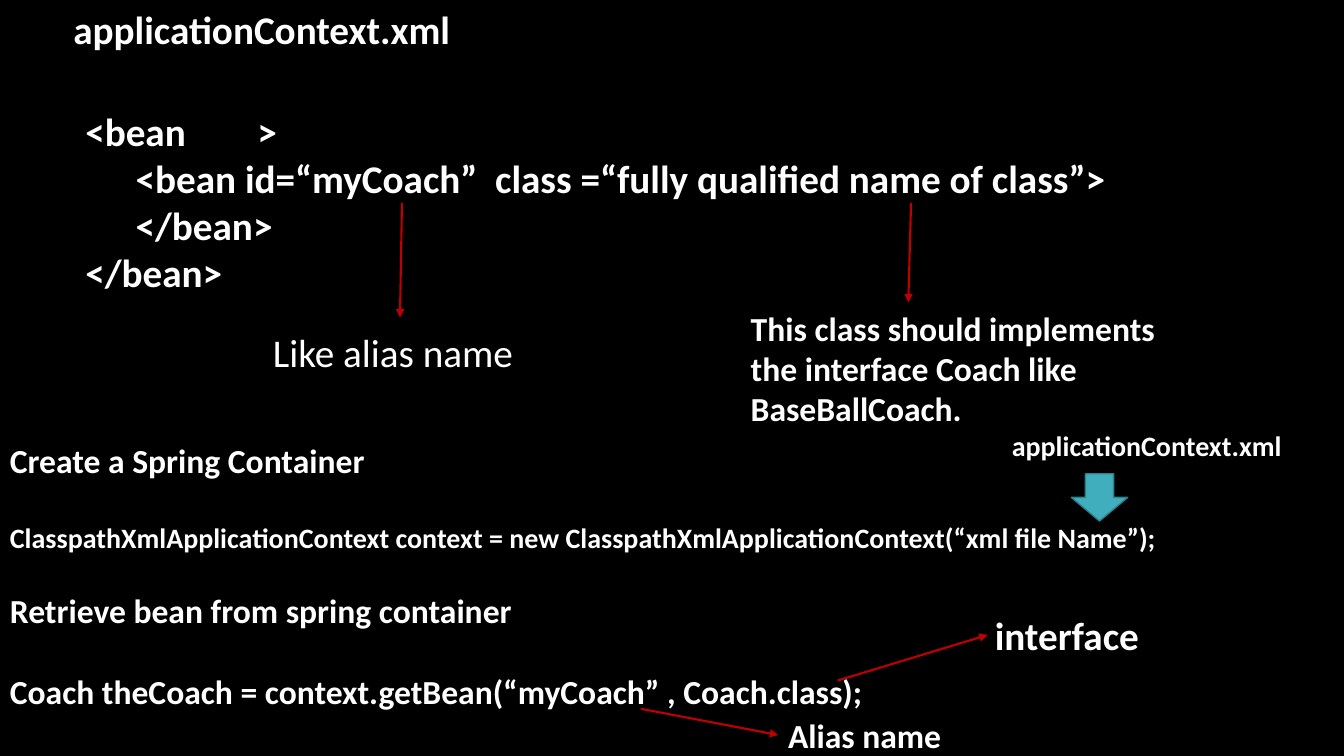
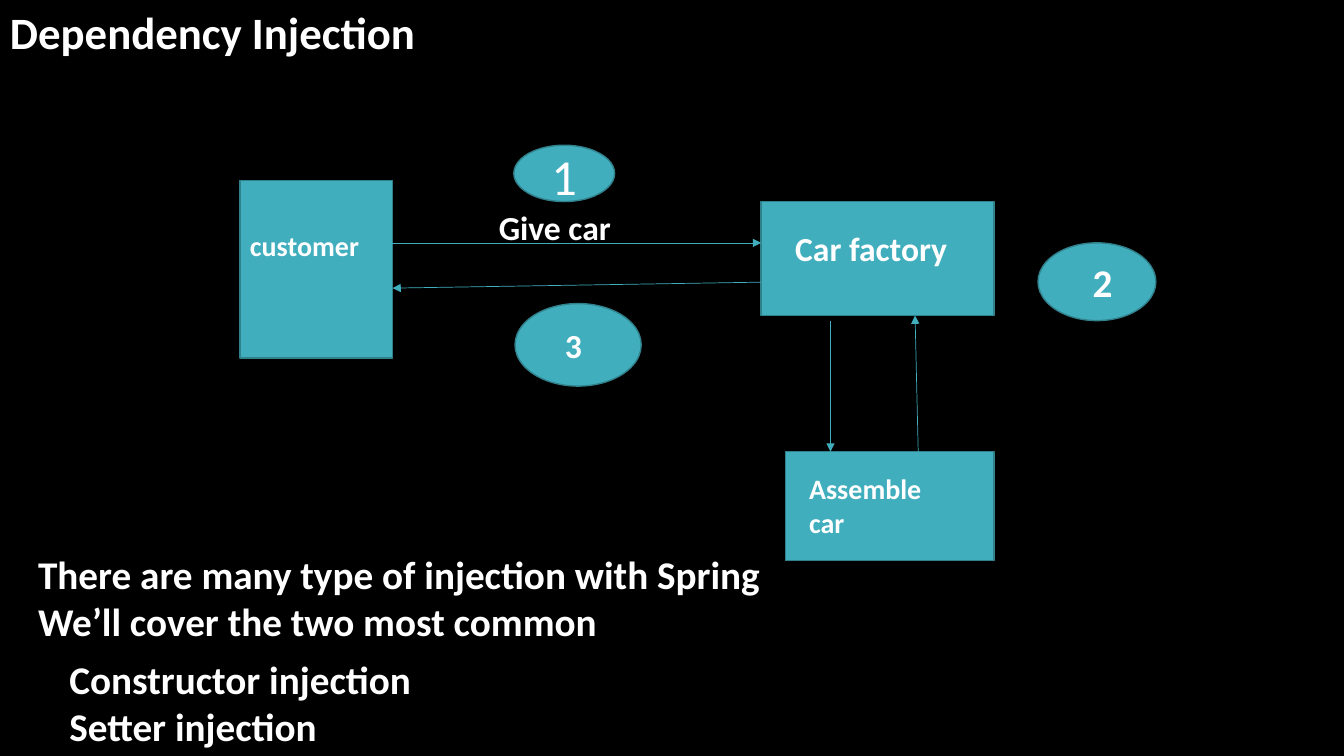
from lxml import etree
from pptx import Presentation
from pptx import util as u
from pptx.dml import color
from pptx.enum import shapes, text
from pptx.oxml import ns

LEFT = text.PP_ALIGN.LEFT
CENTER = text.PP_ALIGN.CENTER
TOP = text.MSO_ANCHOR.TOP
MIDDLE = text.MSO_ANCHOR.MIDDLE
RECT = shapes.MSO_SHAPE.RECTANGLE
OVAL = shapes.MSO_SHAPE.OVAL


def paint(target, value):
    if hasattr(target, "solid"):
        target.solid()
        target = target.fore_color
    target.rgb = color.RGBColor.from_string(value)


def assign(target, values):
    for name, value in values.items():
        setattr(target, name, value)


class Deck:
    BLACK, WHITE = "000000", "FFFFFF"
    TEAL, DARK_TEAL, RED = "41AEBD", "30818C", "C00000"
    FONT = "Calibri"
    INSET = (0.25, 0.13, 0.25, 0.13)

    def __init__(self):
        self.prs = Presentation()
        assign(self.prs, {"slide_width": u.Cm(33.87), "slide_height": u.Cm(19.05)})
        paint(self.prs.slide_master.background.fill, self.BLACK)
        self.slide = None

    def add_slide(self, title, box, size):
        self.slide = self.prs.slides.add_slide(self.prs.slide_layouts[5])
        heading = self.slide.shapes.title
        sides = ("left", "top", "width", "height")
        assign(heading, dict(zip(sides, map(u.Cm, box))))
        self.fill_frame(heading.text_frame, [title], size)

    def fill_frame(self, frame, lines, size, bold=True, align=LEFT, anchor=TOP,
                   inset=INSET):
        sides = ("margin_left", "margin_top", "margin_right", "margin_bottom")
        assign(frame, dict(zip(sides, map(u.Cm, inset))))
        assign(frame, {"auto_size": text.MSO_AUTO_SIZE.NONE, "word_wrap": True,
                       "vertical_anchor": anchor})
        for index, line in enumerate(lines):
            paragraph = frame.paragraphs[0] if index == 0 else frame.add_paragraph()
            paragraph.alignment = align
            run = paragraph.add_run()
            run.text = line
            assign(run.font, {"name": self.FONT, "size": u.Pt(size), "bold": bold})
            paint(run.font.color, self.WHITE)
        return frame.paragraphs

    def add_text(self, lines, box, size, bold=True):
        frame = self.slide.shapes.add_textbox(*map(u.Cm, box)).text_frame
        return self.fill_frame(frame, lines, size, bold)

    def add_shape(self, kind, box, label=None, size=20, **style):
        shape = self.slide.shapes.add_shape(kind, *map(u.Cm, box))
        shape.shadow.inherit = False
        paint(shape.fill, self.TEAL)
        paint(shape.line.fill, self.DARK_TEAL)
        shape.line.width = u.Pt(1)
        if label:
            self.fill_frame(shape.text_frame, [label], size, **style)

    def add_arrow(self, ends, hue, width):
        arrow = self.slide.shapes.add_connector(
            shapes.MSO_CONNECTOR.STRAIGHT, *map(u.Cm, ends))
        paint(arrow.line.fill, hue)
        arrow.line.width = u.Pt(width)
        properties = arrow.element.spPr
        tail = etree.SubElement(properties.find(ns.qn("a:ln")), ns.qn("a:tailEnd"))
        tail.set("type", "triangle")
        etree.SubElement(properties, ns.qn("a:effectLst"))

    def indent(self, paragraph, distance):
        paragraph._p.get_or_add_pPr().set("marL", str(u.Cm(distance)))

    def add_tab(self, paragraph, distance):
        stops = etree.SubElement(paragraph._p.get_or_add_pPr(), ns.qn("a:tabLst"))
        stop = etree.SubElement(stops, ns.qn("a:tab"))
        for name, value in {"pos": str(u.Cm(distance)), "algn": "l"}.items():
            stop.set(name, value)


def build_context(deck):
    deck.add_slide("applicationContext.xml", (1.6, 0, 11.46, 1.45), 28)
    beans = deck.add_text(
        ["<bean\t>",
         "<bean id=“myCoach”  class =“fully qualified name of class”>",
         "</bean>",
         "</bean>"],
        (1.9, 2.57, 28.52, 5.05), 28)
    deck.add_tab(beans[0], 4.34)
    for inner in beans[1:3]:
        deck.indent(inner, 1.27)

    deck.add_text(["Like alias name"], (6.63, 8.15, 9.53, 1.45), 28, bold=False)
    deck.add_text(["This class should implements the interface Coach like BaseBallCoach."],
                  (18.67, 7.62, 12.01, 3.33), 24)

    container = deck.add_text(
        ["Create a Spring Container",
         "ClasspathXmlApplicationContext context = new "
         "ClasspathXmlApplicationContext(“xml file Name”);"],
        (0, 10.95, 33.87, 3.18), 24)
    container[1].runs[0].font.size = u.Pt(20)
    retrieval = deck.add_text(
        ["Retrieve bean from spring container",
         "Coach theCoach = context.getBean(“myCoach” , Coach.class);"],
        (0, 14.73, 23.39, 3.33), 24)
    for code in (container[1], retrieval[1]):
        code.space_before = u.Pt(29)

    deck.add_shape(shapes.MSO_SHAPE.DOWN_ARROW, (27, 11.94, 1.42, 1.19))
    for remark, box, size in (
        ("applicationContext.xml", (25.25, 10.67, 7.95, 1.12), 20),
        ("interface", (24.82, 15.27, 4.9, 1.45), 28),
        ("Alias name", (19.61, 17.88, 7.59, 1.27), 24),
    ):
        deck.add_text([remark], box, size)
    for ends in (
        (10.13, 5.11, 10.08, 8),
        (22.96, 5.11, 22.89, 7.62),
        (21.11, 17.15, 24.89, 16),
        (16.15, 17.86, 19.61, 18.52),
    ):
        deck.add_arrow(ends, deck.RED, 1.5)


def build_injection(deck):
    deck.add_slide("Dependency Injection", (0, 0, 17.45, 1.63), 32)
    for actor, box, size, inset in (
        ("customer", (6.05, 4.55, 3.84, 4.47), 20, (0.25, 1.2, 0, 0)),
        ("Car factory", (19.18, 5.08, 5.87, 2.87), 24, (0.86, 0.66, 0, 0)),
        ("Assemble car", (19.79, 11.38, 5.26, 2.74), 20, (0.6, 0.51, 1, 0)),
    ):
        deck.add_shape(RECT, box, actor, size, inset=inset)
    for ends in (
        (9.89, 6.12, 19.18, 6.12),
        (19.18, 7.11, 9.89, 7.26),
        (20.93, 8.08, 20.93, 11.38),
        (23.14, 11.38, 23.06, 7.95),
    ):
        deck.add_arrow(ends, deck.TEAL, 0.5)
    deck.add_text(["Give car"], (12.32, 5.08, 5.16, 1.27), 24)
    for step, box, size, bold, inset in (
        ("1", (12.95, 3.66, 2.54, 1.42), 36, False, (0, 0.1, 0, 0)),
        ("2", (26.16, 6.12, 2.97, 1.96), 28, True, (0.28, 0, 0, 0)),
        ("3", (12.98, 7.65, 3.18, 2.08), 24, True, (0, 0, 0.24, 0)),
    ):
        deck.add_shape(OVAL, box, step, size, bold=bold, inset=inset,
                       align=CENTER, anchor=MIDDLE)
    deck.add_text(["There are many type of injection with Spring",
                   "We’ll cover the two most common"],
                  (0.71, 13.74, 23.62, 2.64), 28)
    deck.add_text(["Constructor injection", "Setter injection"],
                  (1.5, 16.38, 12.12, 2.64), 28)


def main():
    deck = Deck()
    build_context(deck)
    build_injection(deck)
    deck.prs.save("out.pptx")


if __name__ == "__main__":
    main()
